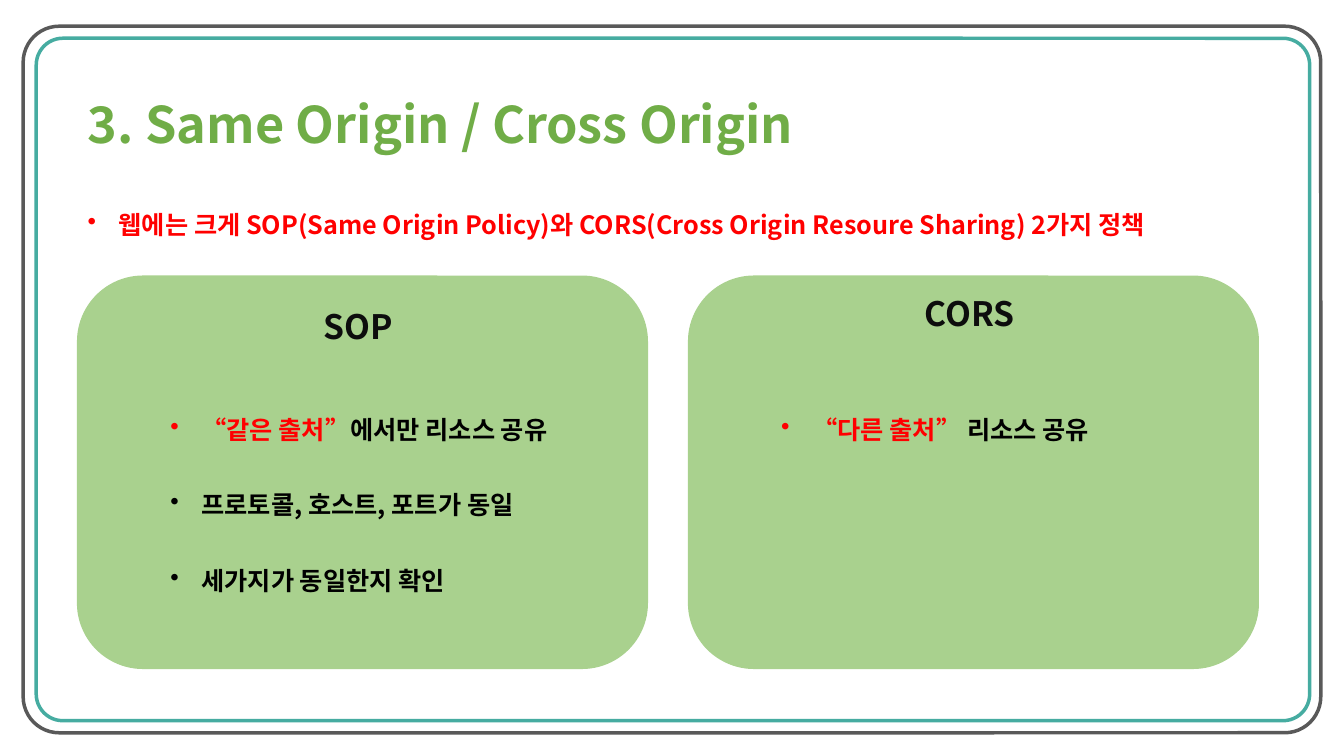
from pptx import Presentation
from pptx.dml.color import RGBColor
from pptx.enum.shapes import MSO_SHAPE as Shape
from pptx.enum.text import MSO_ANCHOR as Anchor, MSO_AUTO_SIZE as Auto, PP_ALIGN as Align
from pptx.oxml.ns import qn
from pptx.util import Pt
from lxml.etree import SubElement, Element

PX = 9144  # 100 px to the inch
FONT = "Noto Sans CJK KR"
GREEN = RGBColor(0x70, 0xAD, 0x47)
LIGHT = RGBColor(0xA9, 0xD1, 0x8E)
TEAL = RGBColor(0x46, 0xAC, 0xA1)
GREY = RGBColor(0x59, 0x59, 0x59)
RED = RGBColor(0xFF, 0, 0)
BLACK = RGBColor(0, 0, 0)
DARK = RGBColor(0x0D, 0x0D, 0x0D)

# Each bullet is a list of (text, colour) runs
SOP = [
    [("“같은 출처”", RED), ("에서만 리소스 공유", BLACK)],
    [("프로토콜, 호스트, 포트가 동일", BLACK)],
    [("세가지가 동일한지 확인", BLACK)],
]
CORS = [[("“다른 출처” ", RED), ("리소스 공유", BLACK)]]


def emu(*box):
    return [n * PX for n in box]


def style(para, size, color):
    font = para.font
    font.size, font.bold, font.name = Pt(size), True, FONT
    font.color.rgb = color
    props = para._p.pPr.find(qn("a:defRPr"))
    SubElement(props, qn("a:ea")).set("typeface", FONT)
    return props


def round_box(slide, box, line, width, adj=None, fill=None):
    shape = slide.shapes.add_shape(Shape.ROUNDED_RECTANGLE, *emu(*box))
    shape.shadow.inherit = False
    shape.line.color.rgb, shape.line.width = line, Pt(width)
    if adj is not None:
        shape.adjustments[0] = adj
    if fill is None:
        shape.fill.background()
    else:
        shape.fill.solid()
        shape.fill.fore_color.rgb = fill


def text_box(slide, box):
    frame = slide.shapes.add_textbox(*emu(*box)).text_frame
    frame.word_wrap = True
    return frame


def bullets(slide, box, items):
    frame = text_box(slide, box)
    for i, runs in enumerate(items):
        para = frame.add_paragraph() if i else frame.paragraphs[0]
        para.line_spacing = 2.5
        base = runs[0][1]
        props = style(para, 18, base)
        for text, color in runs:
            run = para.add_run()
            run.text = text
            if color != base:
                run.font.color.rgb = color
        # Hanging bullet
        para._p.pPr.set("marL", str(31 * PX))
        para._p.pPr.set("indent", str(-31 * PX))
        mark = Element(qn("a:buChar"))
        mark.set("char", "•")
        props.addprevious(mark)


def border(slide, x, y, w, h):
    round_box(slide, (x + 13, y + 12, w - 24, h - 24), TEAL, 2.5, 0.039)
    round_box(slide, (x, y, w, h), GREY, 2.5, 0.051)


def header(slide, x, y, w):
    title = slide.shapes.title
    title.left, title.top, title.width, title.height = emu(x, y, w, 71)
    frame = title.text_frame
    frame.text = "3. Same Origin / Cross Origin"
    frame.auto_size = Auto.NONE
    frame.vertical_anchor = Anchor.MIDDLE
    para = frame.paragraphs[0]
    para.alignment = Align.LEFT
    style(para, 36, GREEN)
    line = "웹에는 크게 SOP(Same Origin Policy)와 CORS(Cross Origin Resoure Sharing) 2가지 정책"
    bullets(slide, (x, y + 71, w + 91, 72), [[(line, RED)]])


def card(slide, x, y, w, h, name, drop, items):
    round_box(slide, (x, y, w, h), LIGHT, 1, fill=LIGHT)
    # Heading, then its points
    head = text_box(slide, (x + 200, y + drop, 157, 50)).paragraphs[0]
    head.text = name
    head.alignment = Align.CENTER
    style(head, 24, DARK)
    bullets(slide, (x + 82, y + 87, 422, 72 + 76 * (len(items) - 1)), items)


def main():
    deck = Presentation()
    deck.slide_width, deck.slide_height = emu(1333, 750)
    slide = deck.slides.add_slide(deck.slide_layouts[5])
    border(slide, 23, 26, 1287, 701)
    header(slide, 77, 87, 1026)
    cards = [("SOP", 25, SOP), ("CORS", 12, CORS)]
    for i, (name, drop, items) in enumerate(cards):
        card(slide, 77 + 606 * i, 274, 565, 389, name, drop, items)
    deck.save("out.pptx")


if __name__ == "__main__":
    main()
